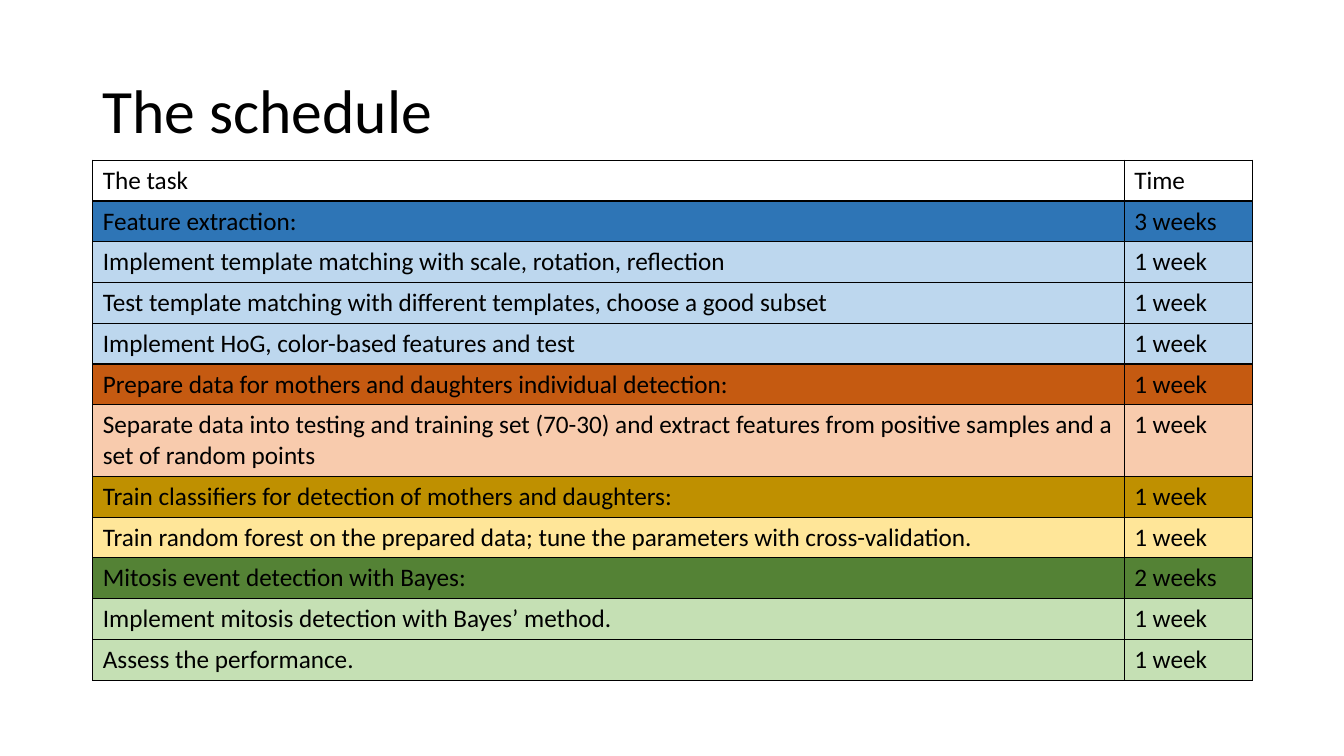
from dataclasses import dataclass

import pptx
import pptx.dml.color
import pptx.enum.text
import pptx.oxml
import pptx.oxml.ns
import pptx.table
import pptx.text.text
import pptx.util

Inches = pptx.util.Inches

COLORS = {
    "black": "000000",
    "white": "FFFFFF",
    "blue": "2E75B6",
    "light blue": "BDD7EE",
    "orange": "C55A11",
    "light orange": "F8CBAD",
    "gold": "BF9000",
    "light gold": "FFE699",
    "green": "548235",
    "light green": "C5E0B4",
}
FONT = "Calibri"
LEFT, WIDTH = 0.92, 11.5
TIME_WIDTH = 1.27
TABLE_TOP, TABLE_HEIGHT = 1.59, 5.16
TWO_LINE_HEIGHT = 0.71


@dataclass(frozen=True)
class Task:
    name: str
    time: str
    color: str
    two_lines: bool = False


TASKS = [
    Task("The task", "Time", "white"),
    Task("Feature extraction:", "3 weeks", "blue"),
    Task("Implement template matching with scale, rotation, reflection", "1 week", "light blue"),
    Task("Test template matching with different templates, choose a good subset",
         "1 week", "light blue"),
    Task("Implement HoG, color-based features and test", "1 week", "light blue"),
    Task("Prepare data for mothers and daughters individual detection:", "1 week", "orange"),
    Task("Separate data into testing and training set (70-30) and extract features "
         "from positive samples and a set of random points",
         "1 week", "light orange", two_lines=True),
    Task("Train classifiers for detection of mothers and daughters:", "1 week", "gold"),
    Task("Train random forest on the prepared data; tune the parameters with cross-validation.",
         "1 week", "light gold"),
    Task("Mitosis event detection with Bayes:", "2 weeks", "green"),
    Task("Implement mitosis detection with Bayes’ method.", "1 week", "light green"),
    Task("Assess the performance.", "1 week", "light green"),
]


def rgb(color: str) -> pptx.dml.color.RGBColor:
    return pptx.dml.color.RGBColor.from_string(COLORS[color])


def write_text(frame: pptx.text.text.TextFrame, text: str, *, size: float = 18,
               color: str = "black", line_spacing: float | None = None) -> None:
    para = frame.paragraphs[0]
    para.line_spacing = line_spacing
    span = para.add_run()
    span.text = text
    span.font.name = FONT
    span.font.size = pptx.util.Pt(size)
    span.font.color.rgb = rgb(color)


def add_borders(cell: pptx.table._Cell, color: str = "black", width: float = 1) -> None:
    """Line all four sides; the lines must come before the cell's fill."""
    properties = cell._tc.get_or_add_tcPr()
    for side in ("lnL", "lnR", "lnT", "lnB"):
        properties.append(pptx.oxml.parse_xml(
            f'<a:{side} {pptx.oxml.ns.nsdecls("a")} w="{pptx.util.Pt(width)}">'
            f'<a:solidFill><a:srgbClr val="{COLORS[color]}"/></a:solidFill></a:{side}>'))


def add_title(page: pptx.slide.Slide, text: str) -> None:
    box = page.shapes.add_textbox(Inches(LEFT), Inches(0.4), Inches(WIDTH), Inches(1.45))
    box.text_frame.word_wrap = True
    box.text_frame.vertical_anchor = pptx.enum.text.MSO_ANCHOR.MIDDLE
    write_text(box.text_frame, text, size=44, line_spacing=0.9)


def add_schedule(page: pptx.slide.Slide, tasks: list[Task]) -> None:
    table = page.shapes.add_table(len(tasks), 2, Inches(LEFT), Inches(TABLE_TOP),
                                  Inches(WIDTH), Inches(TABLE_HEIGHT)).table
    table.first_row = table.horz_banding = False
    table.columns[0].width = Inches(WIDTH - TIME_WIDTH)
    table.columns[1].width = Inches(TIME_WIDTH)

    tall_count = sum(task.two_lines for task in tasks)
    row_height = (TABLE_HEIGHT - tall_count * TWO_LINE_HEIGHT) / (len(tasks) - tall_count)
    for row, task in zip(table.rows, tasks):
        row.height = Inches(TWO_LINE_HEIGHT if task.two_lines else row_height)
        for cell, text in zip(row.cells, (task.name, task.time)):
            add_borders(cell)
            cell.fill.solid()
            cell.fill.fore_color.rgb = rgb(task.color)
            write_text(cell.text_frame, text)


def main() -> None:
    deck = pptx.Presentation()
    deck.slide_width, deck.slide_height = Inches(13.33), Inches(7.5)
    page = deck.slides.add_slide(deck.slide_layouts[6])
    add_title(page, "The schedule")
    add_schedule(page, TASKS)
    deck.save("out.pptx")


if __name__ == "__main__":
    main()
